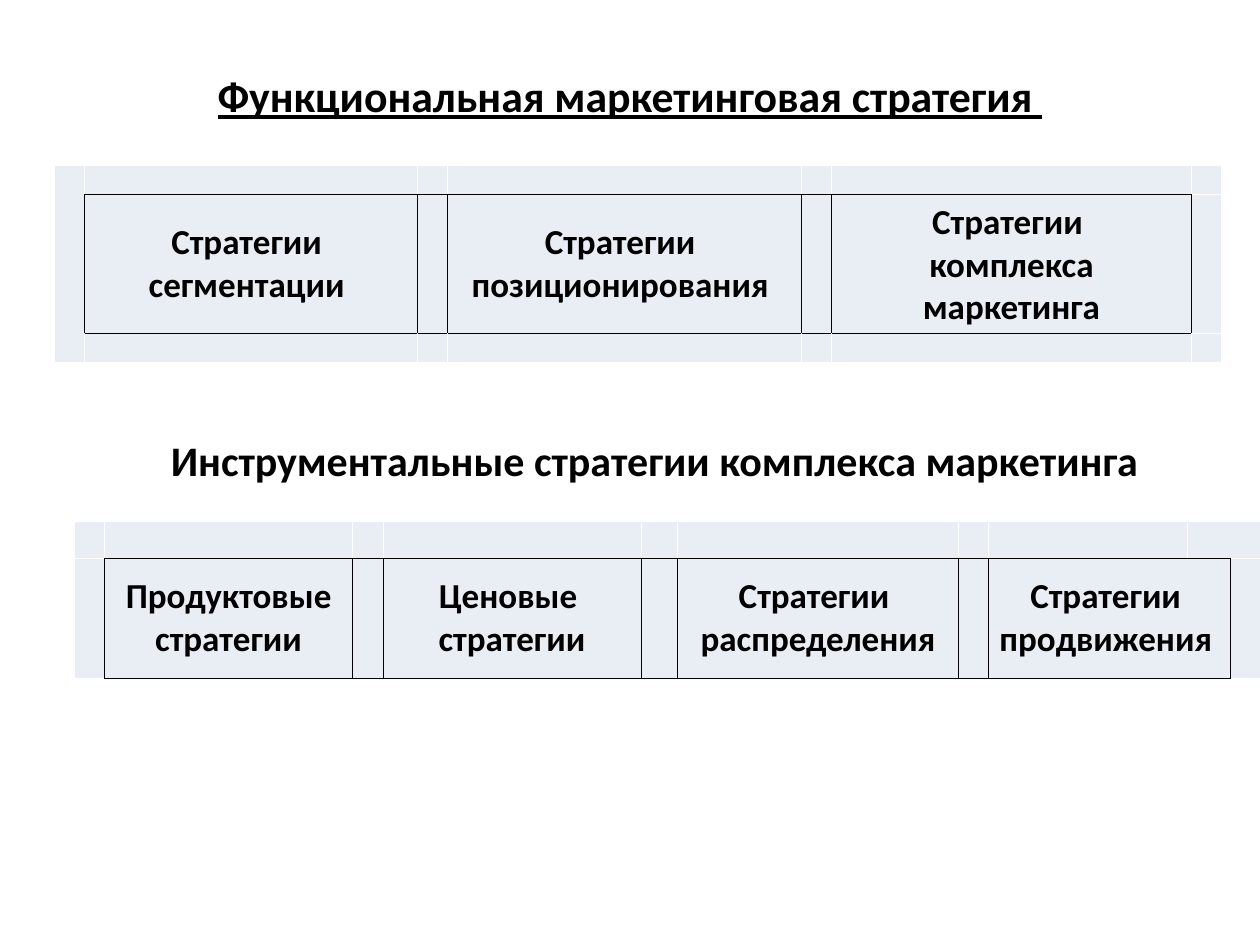
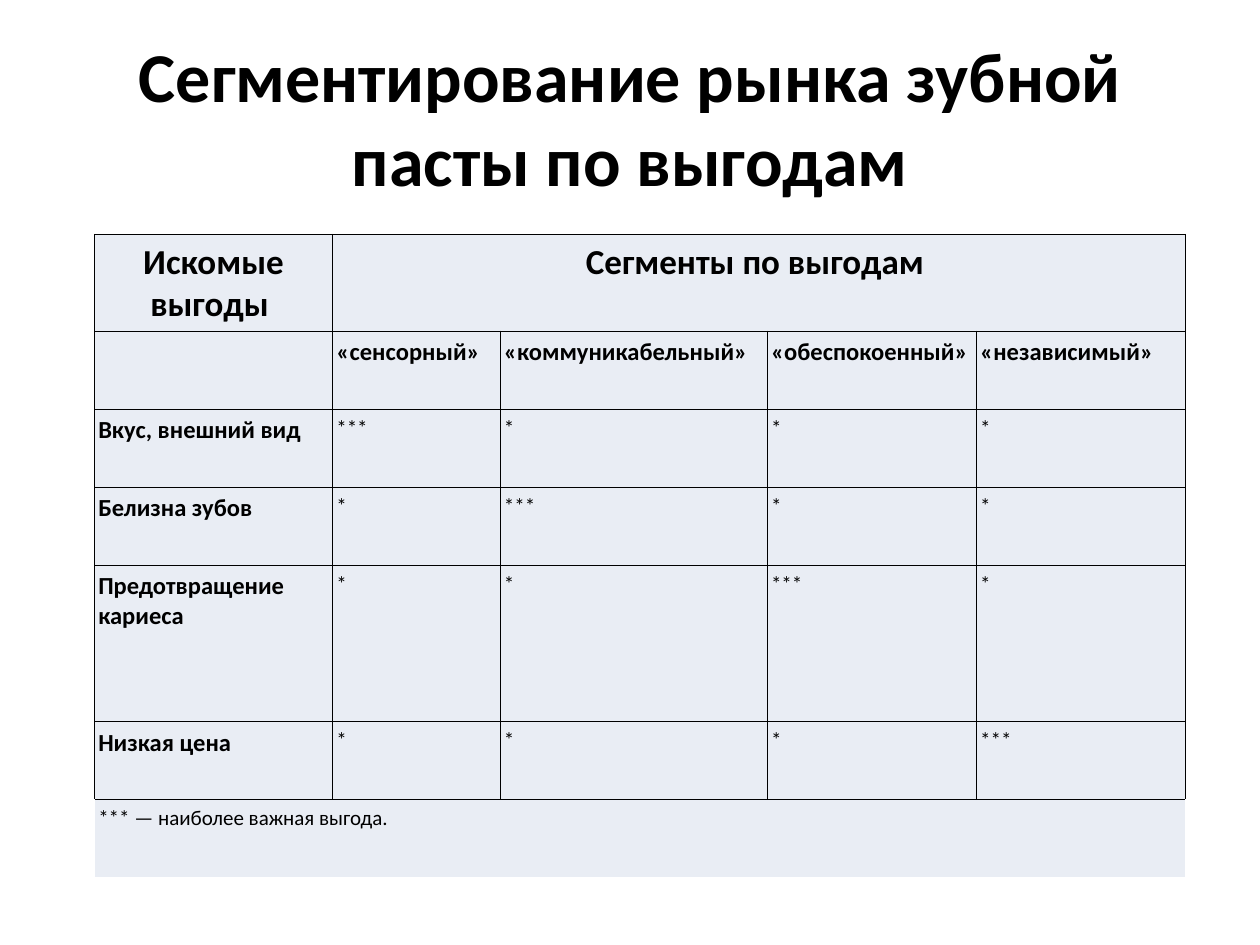
"""Build two slides on marketing strategies and benefit segmentation."""
from dataclasses import dataclass

from lxml.etree import SubElement
from pptx import Presentation
from pptx.dml.color import RGBColor
from pptx.enum.text import MSO_ANCHOR, PP_ALIGN
from pptx.oxml.ns import qn
from pptx.slide import Slide
from pptx.table import _Cell
from pptx.text.text import TextFrame
from pptx.util import Inches, Pt

COLORS = {"text": "000000", "frame": "000000", "hidden": "FFFFFF", "cell": "E9EDF4"}
FONT = "Calibri"
BORDER_WIDTH = Pt(0.45)


@dataclass(frozen=True)
class Heading:
    text: str
    left: float
    top: float
    width: float
    height: float
    size: float
    underline: bool = False
    anchor: MSO_ANCHOR = MSO_ANCHOR.MIDDLE


@dataclass(frozen=True)
class CellText:
    text: str
    size: float = 20
    bold: bool = True
    align: PP_ALIGN = PP_ALIGN.CENTER


@dataclass(frozen=True)
class Grid:
    """Table whose framed block of cells has dark borders and the rest white ones."""
    left: float
    top: float
    columns: tuple[float, ...]
    rows: tuple[float, ...]
    texts: dict[tuple[int, int], CellText]
    merges: dict[tuple[int, int], tuple[int, int]]
    framed_rows: range
    framed_columns: range
    side_inset: float
    empty_size: float
    anchor: MSO_ANCHOR = MSO_ANCHOR.MIDDLE

    def border_color(self, *positions: tuple[int, int]) -> str:
        framed = any(row in self.framed_rows and column in self.framed_columns
                     for row, column in positions)
        return COLORS["frame" if framed else "hidden"]


def write_text(text_frame: TextFrame, text: str, *, size: float, bold: bool = True,
               underline: bool = False, align: PP_ALIGN = PP_ALIGN.CENTER) -> None:
    """Write one paragraph for each line of the text."""
    for index, line in enumerate(text.split("\n")):
        paragraph = text_frame.add_paragraph() if index else text_frame.paragraphs[0]
        paragraph.alignment = align
        run = paragraph.add_run()
        run.text = line
        run.font.name = FONT
        run.font.size = Pt(size)
        run.font.bold = bold
        run.font.underline = underline
        run.font.color.rgb = RGBColor.from_string(COLORS["text"])


def add_heading(slide: Slide, heading: Heading) -> None:
    """Add a centred bold heading."""
    shape = slide.shapes.add_textbox(Inches(heading.left), Inches(heading.top),
                                     Inches(heading.width), Inches(heading.height))
    text_frame = shape.text_frame
    text_frame.word_wrap = True
    text_frame.vertical_anchor = heading.anchor
    write_text(text_frame, heading.text, size=heading.size, underline=heading.underline)


def set_border(cell: _Cell, side: str, color: str) -> None:
    """Draw one side of a cell."""
    properties = cell._tc.get_or_add_tcPr()
    line = SubElement(properties, qn(f"a:ln{side}"), w=str(int(BORDER_WIDTH)))
    SubElement(SubElement(line, qn("a:solidFill")), qn("a:srgbClr"), val=color)


def add_grid(slide: Slide, grid: Grid) -> None:
    """Add a table with its merges, borders, fills and texts."""
    frame = slide.shapes.add_table(
        len(grid.rows), len(grid.columns), Inches(grid.left), Inches(grid.top),
        Inches(sum(grid.columns)), Inches(sum(grid.rows)))
    table = frame.table
    table.first_row = table.horz_banding = False
    for column, width in zip(table.columns, grid.columns):
        column.width = Inches(width)
    for row, height in zip(table.rows, grid.rows):
        row.height = Inches(height)
    for start, end in grid.merges.items():
        table.cell(*start).merge(table.cell(*end))
    for row in range(len(grid.rows)):
        for column in range(len(grid.columns)):
            cell = table.cell(row, column)
            start = (row, column)
            last_row, last_column = grid.merges.get(start, start)
            neighbours = {"L": (row, column - 1), "R": (last_row, last_column + 1),
                          "T": (row - 1, column), "B": (last_row + 1, last_column)}
            for side, neighbour in neighbours.items():
                set_border(cell, side, grid.border_color(start, neighbour))
            cell.fill.solid()
            cell.fill.fore_color.rgb = RGBColor.from_string(COLORS["cell"])
            content = grid.texts.get(start)
            if content:
                cell.margin_left = cell.margin_right = Inches(grid.side_inset)
                cell.vertical_anchor = grid.anchor
                write_text(cell.text_frame, content.text, size=content.size,
                           bold=content.bold, align=content.align)
            else:
                paragraph = cell.text_frame.paragraphs[0]
                SubElement(paragraph._p, qn("a:endParaRPr"), sz=str(int(grid.empty_size * 100)))


def strategy_texts(names: list[str]) -> dict[tuple[int, int], CellText]:
    """Place strategy names in every second column of the middle row."""
    return {(1, 2 * index + 1): CellText(name) for index, name in enumerate(names)}


def benefit_texts() -> dict[tuple[int, int], CellText]:
    """Lay out headers, segments and benefit ratings, the key benefit on the diagonal."""
    segments = ["«сенсорный» ", "«коммуникабельный» ", "«обеспокоенный» ", "«независимый» "]
    benefits = ["Вкус, внешний вид ", "Белизна зубов ", "Предотвращение кариеса ", "Низкая цена "]
    justify = PP_ALIGN.JUSTIFY
    texts = {(0, 0): CellText("Искомые выгоды "), (0, 1): CellText("Сегменты по выгодам "),
             (6, 0): CellText("*** — наиболее важная выгода. ", 12, False, justify)}
    for index, (segment, benefit) in enumerate(zip(segments, benefits)):
        texts[1, index + 1] = CellText(segment, 14, True, justify)
        texts[index + 2, 0] = CellText(benefit, 14, True, justify)
        for column in range(len(segments)):
            rating = "*** " if column == index else "* "
            texts[index + 2, column + 1] = CellText(rating, 12, False, justify)
    return texts


FUNCTIONAL_STRATEGIES = Grid(
    0.43, 1.31, (0.16, 2.64, 0.15, 2.81, 0.23, 2.86, 0.15), (0.15, 1.02, 0.15),
    strategy_texts(["Стратегии \nсегментации ", "Стратегии \nпозиционирования ",
                    "Стратегии \nкомплекса маркетинга"]),
    {(0, 0): (2, 0)}, range(1, 2), range(1, 6), side_inset=0.06, empty_size=8)

INSTRUMENTAL_STRATEGIES = Grid(
    0.59, 4.14, (0.19, 1.97, 0.19, 2.05, 0.29, 2.23, 0.19, 1.58, 0.34, 0.19), (0.2, 0.95),
    strategy_texts(["Продуктовые стратегии", "Ценовые \nстратегии",
                    "Стратегии \nраспределения", "Стратегии \nпродвижения "]),
    {(0, 8): (0, 9), (1, 7): (1, 8)}, range(1, 2), range(1, 9),
    side_inset=0.07, empty_size=11.5)

BENEFIT_SEGMENTS = Grid(
    0.75, 1.86, (1.89, 1.33, 2.12, 1.66, 1.66), (0.67, 0.62, 0.62, 0.62, 1.24, 0.62, 0.62),
    benefit_texts(), {(0, 1): (0, 4), (6, 0): (6, 4)}, range(6), range(5),
    side_inset=0.03, empty_size=14, anchor=MSO_ANCHOR.TOP)

SLIDES = [
    ([Heading("Функциональная маркетинговая стратегия ", 0.75, 0.44, 8.5, 0.63, 25, True),
      Heading("Инструментальные стратегии комплекса маркетинга", 1.14, 3.4, 8.11, 0.5, 24,
              anchor=MSO_ANCHOR.TOP)],
     [FUNCTIONAL_STRATEGIES, INSTRUMENTAL_STRATEGIES]),
    ([Heading("Сегментирование рынка зубной пасты по выгодам", 0.5, 0.3, 9, 1.25, 40)],
     [BENEFIT_SEGMENTS]),
]


def main() -> None:
    """Build and save the presentation."""
    presentation = Presentation()
    presentation.slide_width = Inches(10)
    presentation.slide_height = Inches(7.5)
    for headings, grids in SLIDES:
        slide = presentation.slides.add_slide(presentation.slide_layouts[6])
        for heading in headings:
            add_heading(slide, heading)
        for grid in grids:
            add_grid(slide, grid)
    presentation.save("out.pptx")


if __name__ == "__main__":
    main()
